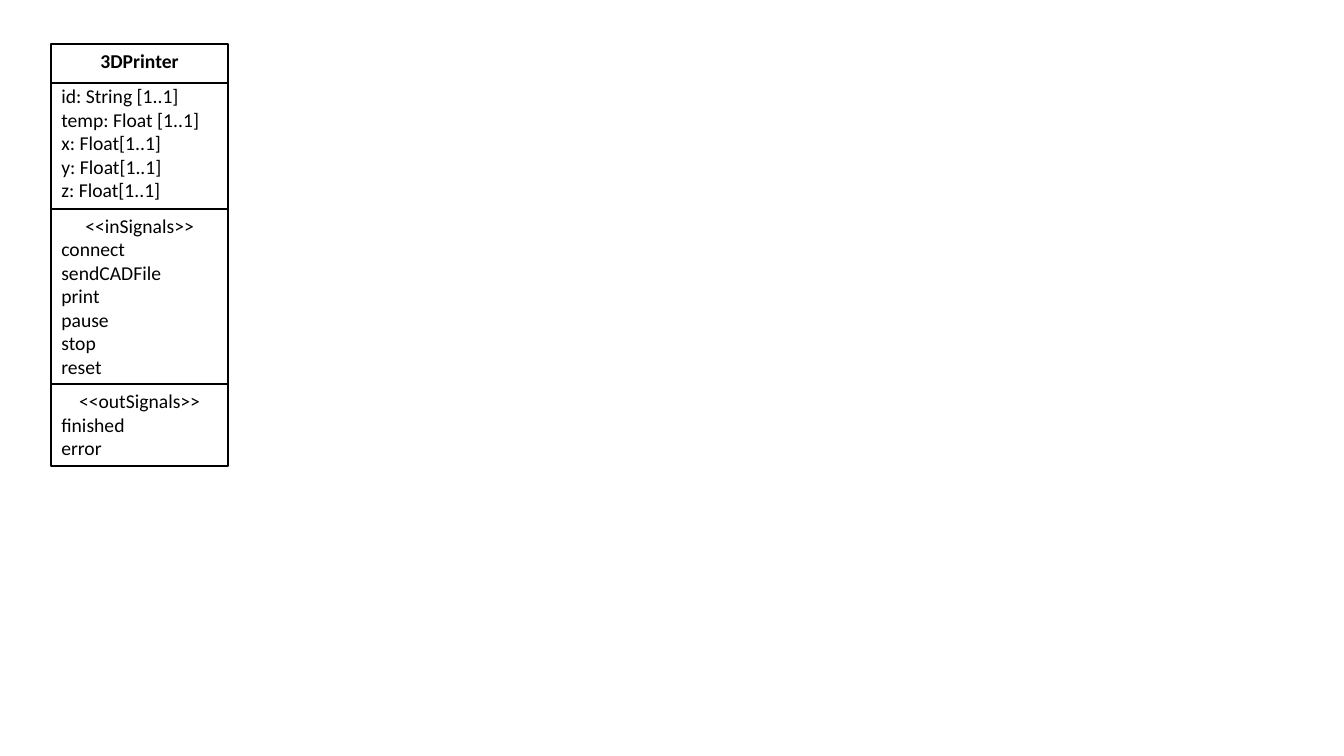
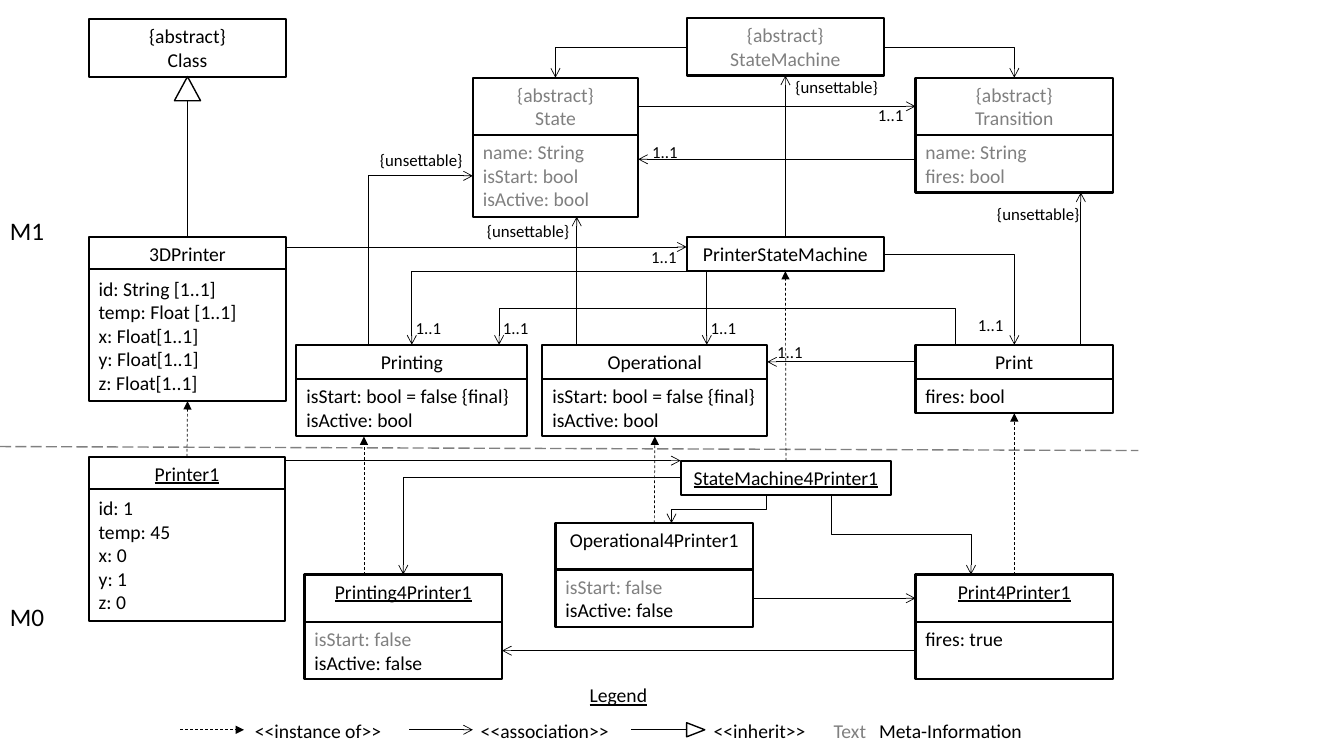
from lxml import etree
from pptx import Presentation
from pptx.dml.color import RGBColor
from pptx.enum.dml import MSO_LINE
from pptx.enum.shapes import MSO_CONNECTOR, MSO_SHAPE
from pptx.enum.text import MSO_ANCHOR, PP_ALIGN
from pptx.oxml.ns import qn
from pptx.util import Emu, Pt

RECTANGLE, TRIANGLE = MSO_SHAPE.RECTANGLE, MSO_SHAPE.ISOSCELES_TRIANGLE
STRAIGHT, ELBOW = MSO_CONNECTOR.STRAIGHT, MSO_CONNECTOR.ELBOW
DASH, LONG_DASH = MSO_LINE.DASH, MSO_LINE.LONG_DASH
ALIGN_LEFT, CENTER = PP_ALIGN.LEFT, PP_ALIGN.CENTER
ANCHOR_TOP = MSO_ANCHOR.TOP
TOP, LEFT, BOTTOM, RIGHT = range(4)  # connection sites of a rectangle

COLORS = {"ink": "000000", "meta": "808080", "paper": "FFFFFF"}
FONT = "Calibri"
SCALE = 9144  # EMU per px, 100 px to the inch

# Grid of the model slide
BOX_WIDTH = 196
PRINTER_X, MACHINE_X, PRINT_X = 88, 681, 908
ABSTRACT_Y, CLASS_Y, STATE_Y, OBJECT_Y = 77, 235, 342, 570

ATTRIBUTES = ["id: String [1..1]", "temp: Float [1..1]",
              "x: Float[1..1]", "y: Float[1..1]", "z: Float[1..1]"]
INSTANCE_STYLE = {"head": "triangle", "dash": DASH}


def px(length):
    return Emu(round(length * SCALE))


def color(name):
    return RGBColor.from_string(COLORS[name])


def point(shape, side, along=None):
    """A point on a side, in px: its middle, or at the coordinate along it."""
    left, top, width, height = (
        length / SCALE for length in (shape.left, shape.top, shape.width, shape.height))
    if side in (TOP, BOTTOM):
        x = left + width / 2 if along is None else along
        return x, top + height * (side == BOTTOM)
    y = top + height / 2 if along is None else along
    return left + width * (side == RIGHT), y


def write_text(frame, lines, **text_format):
    """Write one paragraph per line; a line is text or (text, own format)."""
    frame.word_wrap = True
    frame.vertical_anchor = ANCHOR_TOP
    for index, line in enumerate(lines):
        text, own_format = (line, {}) if isinstance(line, str) else line
        style = {**text_format, **own_format}
        paragraph = frame.paragraphs[0] if index == 0 else frame.add_paragraph()
        paragraph.alignment = style.get("align", ALIGN_LEFT)
        paragraph.space_after = Pt(style.get("after", 0))
        run = paragraph.add_run()
        run.text = text
        run.font.name = FONT
        run.font.size = Pt(style.get("size", 14))
        run.font.bold = style.get("bold", False)
        run.font.underline = style.get("underline", False)
        run.font.color.rgb = color(style.get("ink", "ink"))


class Diagram:
    """Holds the line style and the slide being drawn."""

    border = 1.5
    medium = 1
    thin = 0.5

    def __init__(self, presentation):
        self.presentation = presentation
        self.slide = None

    def new_slide(self):
        layout = self.presentation.slide_layouts[6]
        self.slide = self.presentation.slides.add_slide(layout)

    # Boxes and text
    def shape(self, kind, left, top, width, height, weight, fill=None):
        shape = self.slide.shapes.add_shape(
            kind, px(left), px(top), px(width), px(height))
        shape.shadow.inherit = False
        if fill:
            shape.fill.solid()
            shape.fill.fore_color.rgb = color(fill)
        else:
            shape.fill.background()
        shape.line.color.rgb = color("ink")
        shape.line.width = Pt(weight)
        return shape

    def box(self, left, top, width, lines, height=None, **text_format):
        """A box that is as high as its lines unless a height is given."""
        height = height or round(10.5 + 23.4 * len(lines))
        shape = self.shape(RECTANGLE, left, top, width, height, self.border)
        write_text(shape.text_frame, lines, **text_format)
        return shape

    def class_box(self, left, top, width, title, members, head_height=None,
                  body_height=None, underline=False, ink="ink"):
        """A title box with a box of members right below it."""
        head = self.box(left, top, width, title, head_height,
                        align=CENTER, underline=underline, ink=ink)
        body_top = point(head, BOTTOM)[1]
        body = self.box(left, body_top, width, members, body_height, ink=ink)
        return head, body

    def divided_box(self, left, top, width, title, members, divider, **title_format):
        """One box whose title is parted from the members by a line."""
        heading = (title, {"align": CENTER, "after": 8, **title_format})
        shape = self.box(left, top, width, [heading, *members], height=163)
        self.line((left, top + divider), (left + width, top + divider),
                  head=None, weight=self.border)
        return shape

    def label(self, left, top, text, width=110, **text_format):
        text_box = self.slide.shapes.add_textbox(
            px(left), px(top), px(width), px(30))
        write_text(text_box.text_frame, [text], **text_format)

    # Lines and arrows
    def line(self, start, end, head="arrow", weight=thin, dash=None, ink="ink",
             kind=STRAIGHT):
        connector = self.slide.shapes.add_connector(
            kind, px(start[0]), px(start[1]), px(end[0]), px(end[1]))
        connector.line.color.rgb = color(ink)
        connector.line.width = Pt(weight)
        if dash:
            connector.line.dash_style = dash
        properties = connector._element.spPr
        if head:
            outline = properties.find(qn("a:ln"))
            etree.SubElement(outline, qn("a:tailEnd")).set("type", head)
        etree.SubElement(properties, qn("a:effectLst"))
        return connector

    def one_bend(self, start, end, vertical_first):
        connector = self.elbow(start, end, vertical_first)
        connector._element.spPr.find(qn("a:prstGeom")).set("prst", "bentConnector2")

    def two_bends(self, start, end, turn_y=None):
        """Down or up to turn_y (halfway by default), across, and on to the end."""
        connector = self.elbow(start, end, vertical_first=True)
        if turn_y is not None:
            share = round((turn_y - start[1]) / (end[1] - start[1]) * 100000)
            adjustments = connector._element.spPr.find(qn("a:prstGeom")).find(qn("a:avLst"))
            guide = etree.SubElement(adjustments, qn("a:gd"))
            guide.set("name", "adj1")
            guide.set("fmla", f"val {share}")

    def elbow(self, start, end, vertical_first):
        if not vertical_first:
            return self.line(start, end, kind=ELBOW)
        # An elbow leaves sideways: lay it out so about its centre, then rotate it
        (x1, y1), (x2, y2) = start, end
        rotation = 270 if (x2 - x1) * (y2 - y1) > 0 else 90
        sign = 1 if rotation == 90 else -1
        center_x, center_y = (x1 + x2) / 2, (y1 + y2) / 2
        half_x, half_y = sign * (y2 - y1) / 2, sign * (x1 - x2) / 2
        connector = self.line((center_x - half_x, center_y - half_y),
                              (center_x + half_x, center_y + half_y), kind=ELBOW)
        connector.rotation = rotation
        return connector

    def connect(self, begin, begin_side, end, end_side, begin_at=None, end_at=None,
                turn_y=None, note=None, shift=(0, 0), **line_format):
        """Join two sides; the sides decide the route. The note is set off from the head."""
        start, finish = point(begin, begin_side, begin_at), point(end, end_side, end_at)
        leaves_vertically = begin_side in (TOP, BOTTOM)
        if leaves_vertically != (end_side in (TOP, BOTTOM)):
            self.one_bend(start, finish, leaves_vertically)
        elif begin_at != end_at:
            self.two_bends(start, finish, turn_y)
        else:
            connector = self.line(start, finish, **line_format)
            if begin_at is None:
                connector.begin_connect(begin, begin_side)
                connector.end_connect(end, end_side)
        if note:
            self.label(finish[0] + shift[0], finish[1] + shift[1], note, size=12)

    def inherit(self, child, parent):
        x, y = point(parent, BOTTOM)
        width, height = 26, 24
        connector = self.line((x, y + height), point(child, TOP),
                              head=None, weight=self.medium)
        connector.end_connect(child, TOP)
        self.shape(TRIANGLE, x - width / 2, y, width, height, self.medium, "paper")


def draw_printer_class(diagram):
    diagram.new_slide()
    left, top, width = 51, 44, 175
    section = diagram.divided_box(left, top, width, "3DPrinter", ATTRIBUTES, 38, bold=True)
    signals = {
        "<<inSignals>>": ["connect", "sendCADFile", "print", "pause", "stop", "reset"],
        "<<outSignals>>": ["finished", "error"]}
    for heading, names in signals.items():
        section = diagram.box(left, point(section, BOTTOM)[1], width,
                              [(heading, {"align": CENTER}), *names])


def draw_model_levels(diagram):
    diagram.new_slide()
    connect = diagram.connect

    # Abstract classes
    base_class = diagram.box(PRINTER_X, 19, BOX_WIDTH, ["{abstract}", "Class"], align=CENTER)
    state_machine = diagram.box(MACHINE_X, 18, BOX_WIDTH, ["{abstract}", "StateMachine"],
                                align=CENTER, ink="meta")
    state, state_body = diagram.class_box(
        469, ABSTRACT_Y, 164, ["{abstract}", "State"],
        ["name: String", "isStart: bool", "isActive: bool"], ink="meta")
    transition, transition_body = diagram.class_box(
        PRINT_X, ABSTRACT_Y, BOX_WIDTH, ["{abstract}", "Transition"],
        ["name: String", "fires: bool"], ink="meta")

    # Level M1: classes
    printer = diagram.divided_box(PRINTER_X, CLASS_Y, BOX_WIDTH, "3DPrinter", ATTRIBUTES, 32)
    machine = diagram.box(MACHINE_X, CLASS_Y, BOX_WIDTH, ["PrinterStateMachine"], align=CENTER)
    flags = ["isStart: bool = false {final}", "isActive: bool"]
    printing, printing_body = diagram.class_box(294, STATE_Y, 229, ["Printing"], flags)
    operational, operational_body = diagram.class_box(
        538, STATE_Y, 223, ["Operational"], flags)
    printout, printout_body = diagram.class_box(
        PRINT_X, STATE_Y, BOX_WIDTH, ["Print"], ["fires: bool"])

    # Level M0: objects
    printer_object = diagram.divided_box(
        PRINTER_X, 453, 195, "Printer1",
        ["id: 1", "temp: 45", "x: 0", "y: 1", "z: 0"], 32, underline=True)
    machine_object = diagram.box(675, 457, 209, ["StateMachine4Printer1"],
                                 align=CENTER, underline=True)
    values = [("isStart: false", {"ink": "meta"}), "isActive: false"]
    operational_object, operational_values = diagram.class_box(
        551, 519, BOX_WIDTH, ["Operational4Printer1"], values, head_height=46)
    printing_object, printing_values = diagram.class_box(
        302, OBJECT_Y, BOX_WIDTH, ["Printing4Printer1"], values,
        head_height=47, underline=True)
    printout_object, printout_values = diagram.class_box(
        PRINT_X, OBJECT_Y, BOX_WIDTH, ["Print4Printer1"], ["fires: true"],
        head_height=47, body_height=57, underline=True)

    # Border between the levels
    diagram.line((0, 443), (1129, 447), head=None, weight=diagram.medium,
                 dash=LONG_DASH, ink="meta")
    for level, top in (("M1", 209), ("M0", 592)):
        diagram.label(0, top, level, size=18)

    # Inheritance and instances
    diagram.inherit(printer, base_class)
    for instance, kind in ((printer_object, printer), (machine_object, machine),
                           (operational_object, operational_body),
                           (printout_object, printout_body)):
        connect(instance, TOP, kind, BOTTOM, **INSTANCE_STYLE)
    connect(printing_object, TOP, printing_body, BOTTOM, 361, 361, **INSTANCE_STYLE)

    # Associations of the abstract classes
    connect(state_machine, LEFT, state, TOP)
    connect(state_machine, RIGHT, transition, TOP)
    connect(state, RIGHT, transition, LEFT, note="1..1", shift=(-47, -6))
    connect(transition_body, LEFT, state_body, RIGHT, 158, 158, note="1..1", shift=(4, -22))

    # Unsettable links from the classes to the abstract ones
    for begin, end, end_side, begin_at, end_at, shift in (
            (machine, state_machine, BOTTOM, None, None, (0, -4)),
            (printing, state_body, LEFT, 365, None, (-102, -31)),
            (operational, state_body, BOTTOM, 572, 572, (-99, -1)),
            (printout, transition_body, BOTTOM, 1072, 1072, (-93, 6))):
        connect(begin, TOP, end, end_side, begin_at, end_at,
                note="{unsettable}", shift=shift)

    # Associations of the classes
    above_head = (-6, -32)
    machine_bottom = point(machine, BOTTOM)[1]
    connect(printer, RIGHT, machine, LEFT, 245, 245, note="1..1", shift=(-45, -5))
    connect(machine, RIGHT, printout, TOP, note="1..1", shift=(-46, -35))
    connect(machine, LEFT, printing, TOP, machine_bottom, note="1..1", shift=above_head)
    connect(machine, BOTTOM, operational, TOP, 701, 701, note="1..1", shift=above_head)
    connect(printout, LEFT, operational, RIGHT, note="1..1", shift=(0, -25))
    # Both ends lie level; start 1 px lower, since the bend is a share of the height
    diagram.two_bends((948, STATE_Y + 1), (495, STATE_Y), turn_y=305)
    diagram.label(495 + above_head[0], STATE_Y + above_head[1], "1..1", size=12)

    # Associations of the objects
    connect(printer_object, RIGHT, machine_object, LEFT, 457, 457)
    connect(machine_object, LEFT, printing_object, TOP)
    connect(machine_object, BOTTOM, operational_object, TOP, 760, 666)
    connect(machine_object, BOTTOM, printout_object, TOP, 825, 963)
    connect(operational_values, RIGHT, printout_object, LEFT)
    connect(printout_values, LEFT, printing_values, RIGHT)

    # Legend
    legend_y, sample_y, sample_width = 708, 724, 63
    diagram.label(575, 673, "Legend", underline=True)
    for left, text_gap, text, line_format in (
            (179, 1, "<<instance of>>", INSTANCE_STYLE),
            (406, -2, "<<association>>", {}),
            (626, 9, "<<inherit>>", {"head": None})):
        right = left + sample_width
        diagram.line((left, sample_y), (right, sample_y), **line_format)
        diagram.label(right + text_gap, legend_y, text, width=164)
    inherit_head = diagram.shape(TRIANGLE, 683, 715, 14, 18, diagram.medium, "paper")
    inherit_head.rotation = 90
    diagram.label(817, legend_y, "Text", ink="meta")
    diagram.label(862, legend_y, "Meta-Information", width=180)


def main():
    presentation = Presentation()
    presentation.slide_width, presentation.slide_height = px(1333), px(750)
    diagram = Diagram(presentation)
    draw_printer_class(diagram)
    draw_model_levels(diagram)
    presentation.save("out.pptx")


if __name__ == "__main__":
    main()
